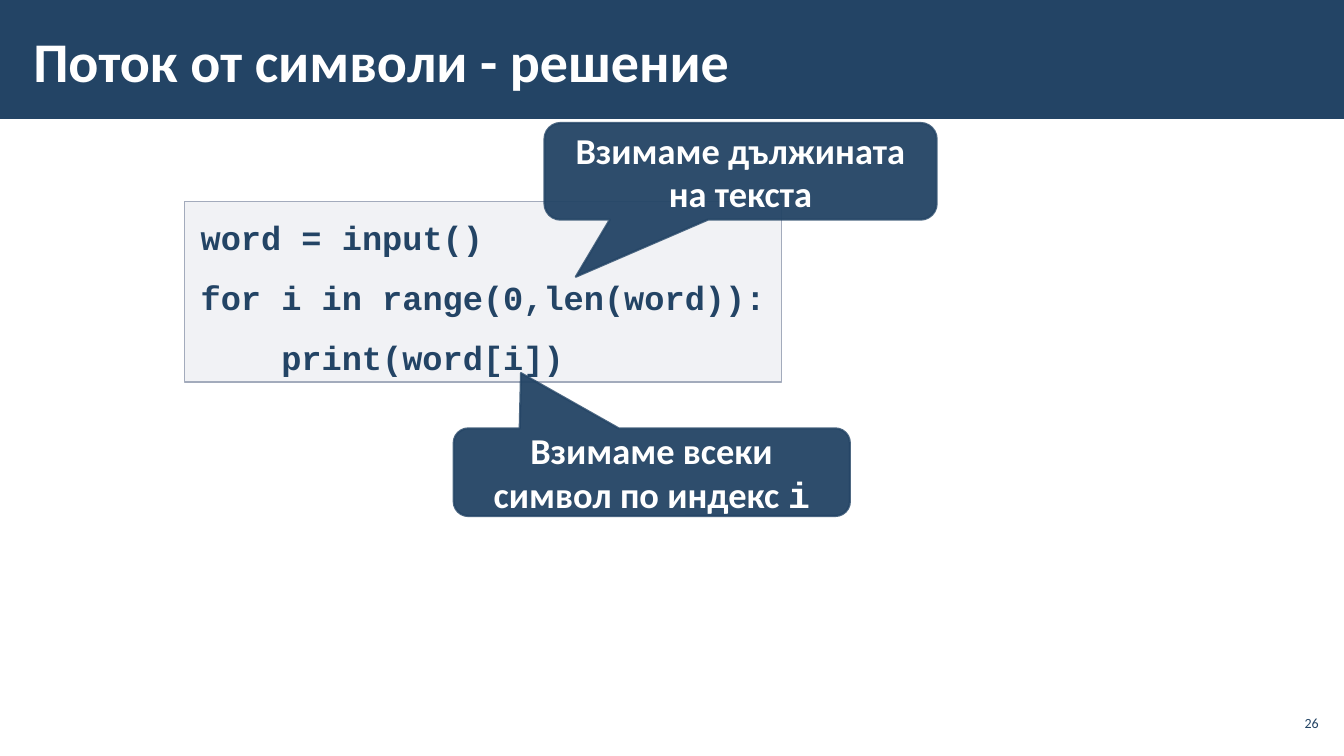
from lxml import etree
from pptx import Presentation
from pptx import util as u
from pptx.dml import color
from pptx.enum import shapes, text
from pptx.oxml import ns

NAVY = "234465"
GREY = "A3ABBC"
WHITE = "FFFFFF"
BODY_FONT = "Calibri"
CODE_FONT = "Courier New"


def rgb(value):
    return color.RGBColor.from_string(value)


def set_opacity(fill_parent, percent):
    tint = fill_parent.find(f"{ns.qn('a:solidFill')}/{ns.qn('a:srgbClr')}")
    alpha = etree.SubElement(tint, ns.qn("a:alpha"))
    alpha.set("val", str(percent * 1000))


def add_panel(page, kind, place, fill, opacity=100, line=None, width=1, line_opacity=100):
    panel = page.shapes.add_shape(kind, *map(u.Inches, place))
    panel.shadow.inherit = False
    panel.fill.solid()
    panel.fill.fore_color.rgb = rgb(fill)
    if opacity < 100:
        set_opacity(panel._element.spPr, opacity)
    if line is None:
        panel.line.fill.background()
    else:
        panel.line.color.rgb = rgb(line)
        panel.line.width = u.Pt(width)
        if line_opacity < 100:
            set_opacity(panel._element.spPr.find(ns.qn("a:ln")), line_opacity)
    return panel


def set_frame(box, margins, anchor=text.MSO_ANCHOR.MIDDLE):
    frame = box.text_frame
    frame.word_wrap = True
    frame.vertical_anchor = anchor
    (frame.margin_left, frame.margin_top,
     frame.margin_right, frame.margin_bottom) = map(u.Inches, margins)
    return frame


def add_span(para, content, size, hue, font=BODY_FONT, bold=True):
    span = para.add_run()
    span.text = content
    span.font.size = u.Pt(size)
    span.font.name = font
    span.font.bold = bold
    span.font.color.rgb = rgb(hue)


def add_label(page, place, content, size, hue, margins, align, bold=True):
    box = page.shapes.add_textbox(*map(u.Inches, place))
    para = set_frame(box, margins).paragraphs[0]
    para.alignment = align
    add_span(para, content, size, hue, bold=bold)


def add_code(page, place, lines):
    panel = add_panel(page, shapes.MSO_SHAPE.RECTANGLE, place, GREY, opacity=15, line=GREY)
    frame = set_frame(panel, (0.16, 0.12, 0.1, 0.12), text.MSO_ANCHOR.TOP)
    for number, (content, indent) in enumerate(lines):
        para = frame.add_paragraph() if number else frame.paragraphs[0]
        para.alignment = text.PP_ALIGN.LEFT
        para.space_before = para.space_after = u.Pt(6)
        para.line_spacing = 1.07
        para._p.get_or_add_pPr().set("marL", str(u.Inches(indent)))
        add_span(para, content, 24, NAVY, CODE_FONT)


def add_callout(page, place, pointer, spans):
    bubble = add_panel(page, shapes.MSO_SHAPE.ROUNDED_RECTANGULAR_CALLOUT, place, NAVY,
                       opacity=95, line=NAVY, width=1.5, line_opacity=80)
    bubble.adjustments[0], bubble.adjustments[1] = pointer
    para = set_frame(bubble, (0.1, 0.05, 0.1, 0.05)).paragraphs[0]
    para.alignment = text.PP_ALIGN.CENTER
    for content, font in spans:
        add_span(para, content, 26, WHITE, font)


def main():
    deck = Presentation()
    deck.slide_width, deck.slide_height = u.Inches(13.33), u.Inches(7.5)
    page = deck.slides.add_slide(deck.slide_layouts[6])

    add_panel(page, shapes.MSO_SHAPE.RECTANGLE, (0, -0.02, 13.33, 1.2), NAVY)
    add_code(page, (1.83, 2, 5.92, 1.79), [
        ("word = input()", 0),
        ("for i in range(0,len(word)):", 0),
        ("print(word[i])", 0.8),
    ])
    add_label(page, (0.21, 0.11, 10.39, 0.97), "Поток от символи - решение", 40, WHITE,
              (0.12, 0.04, 0.12, 0.04), text.PP_ALIGN.LEFT)
    add_label(page, (12.65, 7, 0.47, 0.34), "26", 10, NAVY,
              (0.04, 0.04, 0.04, 0.04), text.PP_ALIGN.RIGHT, bold=False)
    add_callout(page, (5.4, 1.22, 3.89, 0.96), (-0.42, 1.09),
                [("Взимаме дължината на текста", BODY_FONT)])
    add_callout(page, (4.5, 4.25, 3.93, 0.87), (-0.33, -1.13),
                [("Взимаме всеки символ по индекс ", BODY_FONT), ("i", CODE_FONT)])

    deck.save("out.pptx")


if __name__ == "__main__":
    main()
